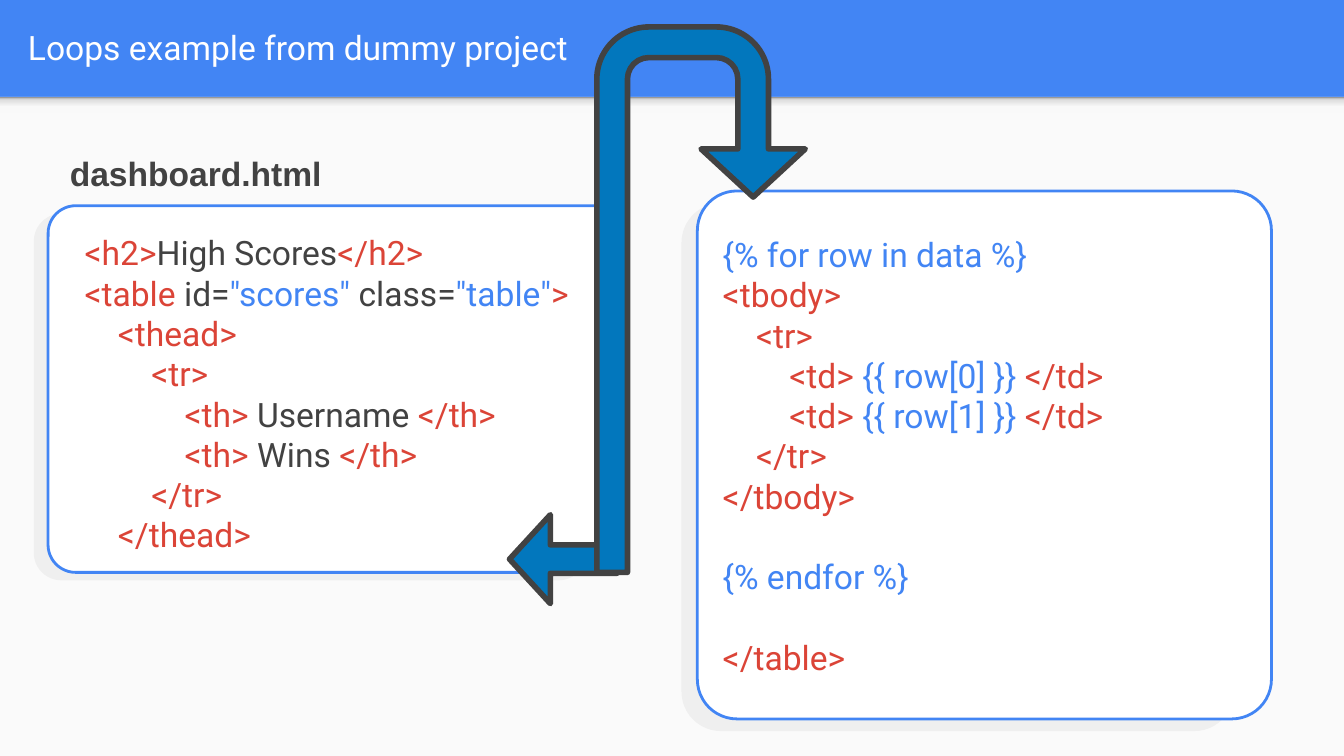
from lxml import etree
from pptx import Presentation
from pptx import util as u
from pptx.dml.color import RGBColor
from pptx.enum import shapes, text
from pptx.oxml import ns

THEME = {
    "size": 18, "code": "Roboto", "label": "Arial",
    "blue": "4285F4", "red": "DB4437", "dark": "424242", "white": "FFFFFF",
    "paper": "FAFAFA", "shade": "EFEFEF", "arrow": "0277BD",
    "edge": [(0, "F9F9F9"), (36, "F9F9F9"), (80, "DEDEDE"), (100, "999999")],
}
PAGE = (25.4, 14.29)
HEADER = 1.83
INDENT = 0.63
BLANK_LINE = 21.5

TITLE = "Loops example from dummy project"
FILE_NAME = "dashboard.html"
CARDS = [
    {
        "face": (13.18, 3.61, 10.85, 9.98),
        "shade": (12.88, 3.84, 10.44, 9.98),
        "code": (13.41, 4.17, 10.6, 9.2),
        "lines": [
            (0, 0, [("blue", "{% for row in data %}")]),
            (0, 0, [("red", "<tbody>")]),
            (1, 0, [("red", "<tr>")]),
            (2, 0, [("red", "<td>"), ("blue", " {{ row[0] }} "), ("red", "</td>")]),
            (2, 0, [("red", "<td> "), ("blue", "{{ row[1] }}"), ("red", " </td>")]),
            (1, 0, [("red", "</tr>")]),
            (0, 0, [("red", "</tbody>")]),
            (0, 1, [("blue", "{% endfor %}")]),
            (0, 1, [("red", "</table>")]),
        ],
    },
    {
        "face": (0.91, 3.89, 10.85, 6.93),
        "shade": (0.64, 4.04, 10.44, 6.93),
        "code": (1.35, 4.14, 10, 5.8),
        "lines": [
            (0, 0, [("red", "<h2>"), ("dark", "High Scores"), ("red", "</h2>")]),
            (0, 0, [("red", "<table "), ("dark", "id="), ("blue", '"scores" '),
                    ("dark", "class="), ("blue", '"table"'), ("red", ">")]),
            (1, 0, [("red", "<thead>")]),
            (2, 0, [("red", "<tr>")]),
            (3, 0, [("red", "<th> "), ("dark", "Username"), ("red", " </th>")]),
            (3, 0, [("red", "<th> "), ("dark", "Wins"), ("red", " </th>")]),
            (2, 0, [("red", "</tr>")]),
            (1, 0, [("red", "</thead>")]),
        ],
    },
]
ARROWS = [
    ("LEFT_ARROW", (9.63, 9.73, 2.03, 1.68), (0.32, 0.46)),
    ("U_TURN_ARROW", (11.28, 0.51, 3.94, 10.31), (0.147, 0.25, 0.231, 0.25, 0.312)),
]


def color(name):
    return RGBColor.from_string(THEME[name])


def add_shape(page, kind, place, fill, line=None, width=0, adjust=()):
    shape = page.shapes.add_shape(
        getattr(shapes.MSO_SHAPE, kind), *map(u.Cm, place))
    shape.shadow.inherit = False
    shape.fill.solid()
    shape.fill.fore_color.rgb = color(fill)
    if line:
        shape.line.color.rgb = color(line)
        shape.line.width = u.Pt(width)
    else:
        shape.line.fill.background()
    for index, value in enumerate(adjust):
        shape.adjustments[index] = value
    return shape


def add_text(page, place, lines, font="code", bold=False, anchor="TOP"):
    frame = page.shapes.add_textbox(*map(u.Cm, place)).text_frame
    layout = {"word_wrap": True, "vertical_anchor": getattr(text.MSO_ANCHOR, anchor)}
    layout.update({f"margin_{side}": u.Cm(0.25)
                   for side in ("left", "right", "top", "bottom")})
    for name, value in layout.items():
        setattr(frame, name, value)
    style = {"name": THEME[font], "size": u.Pt(THEME["size"]), "bold": bold}
    for index, (level, gap, spans) in enumerate(lines):
        para = frame.add_paragraph() if index else frame.paragraphs[0]
        para.space_before = u.Pt(gap * BLANK_LINE)
        properties = para._p.get_or_add_pPr()
        properties.set("marL", str(u.Cm(level * INDENT)))
        properties.set("indent", "0")
        for name, words in spans:
            span = para.add_run()
            span.text = words
            span.font.color.rgb = color(name)
            for key, value in style.items():
                setattr(span.font, key, value)


def fade_upward(shape):
    shape.fill.gradient()
    gradient = shape._element.spPr.find(ns.qn("a:gradFill"))
    stops = gradient.find(ns.qn("a:gsLst"))
    for stop in list(stops):
        stops.remove(stop)
    for position, value in THEME["edge"]:
        stop = etree.SubElement(stops, ns.qn("a:gs"), pos=str(position * 1000))
        etree.SubElement(stop, ns.qn("a:srgbClr"), val=value)
    shape.fill.gradient_angle = 90


def main():
    deck = Presentation()
    deck.slide_width, deck.slide_height = map(u.Cm, PAGE)
    page = deck.slides.add_slide(deck.slide_layouts[6])
    page.background.fill.solid()
    page.background.fill.fore_color.rgb = color("blue")

    add_shape(page, "RECTANGLE", (0, HEADER, PAGE[0], PAGE[1] - HEADER), "paper")
    fade_upward(add_shape(page, "RECTANGLE", (0, HEADER, PAGE[0], 0.3), "paper"))
    add_text(page, (0.28, 0.05, 24.5, 1.68), [(0, 0, [("white", TITLE)])],
             anchor="MIDDLE")

    for card in CARDS:
        add_shape(page, "ROUNDED_RECTANGLE", card["shade"], "shade", adjust=[0.075])
        add_shape(page, "ROUNDED_RECTANGLE", card["face"], "white", "blue", 1.5, [0.075])
        add_text(page, card["code"], card["lines"])

    add_text(page, (1.07, 2.64, 9.17, 0.99), [(0, 0, [("dark", FILE_NAME)])],
             "label", True)
    for kind, place, adjust in ARROWS:
        add_shape(page, kind, place, "arrow", "dark", 3, adjust)

    deck.save("out.pptx")


if __name__ == "__main__":
    main()
